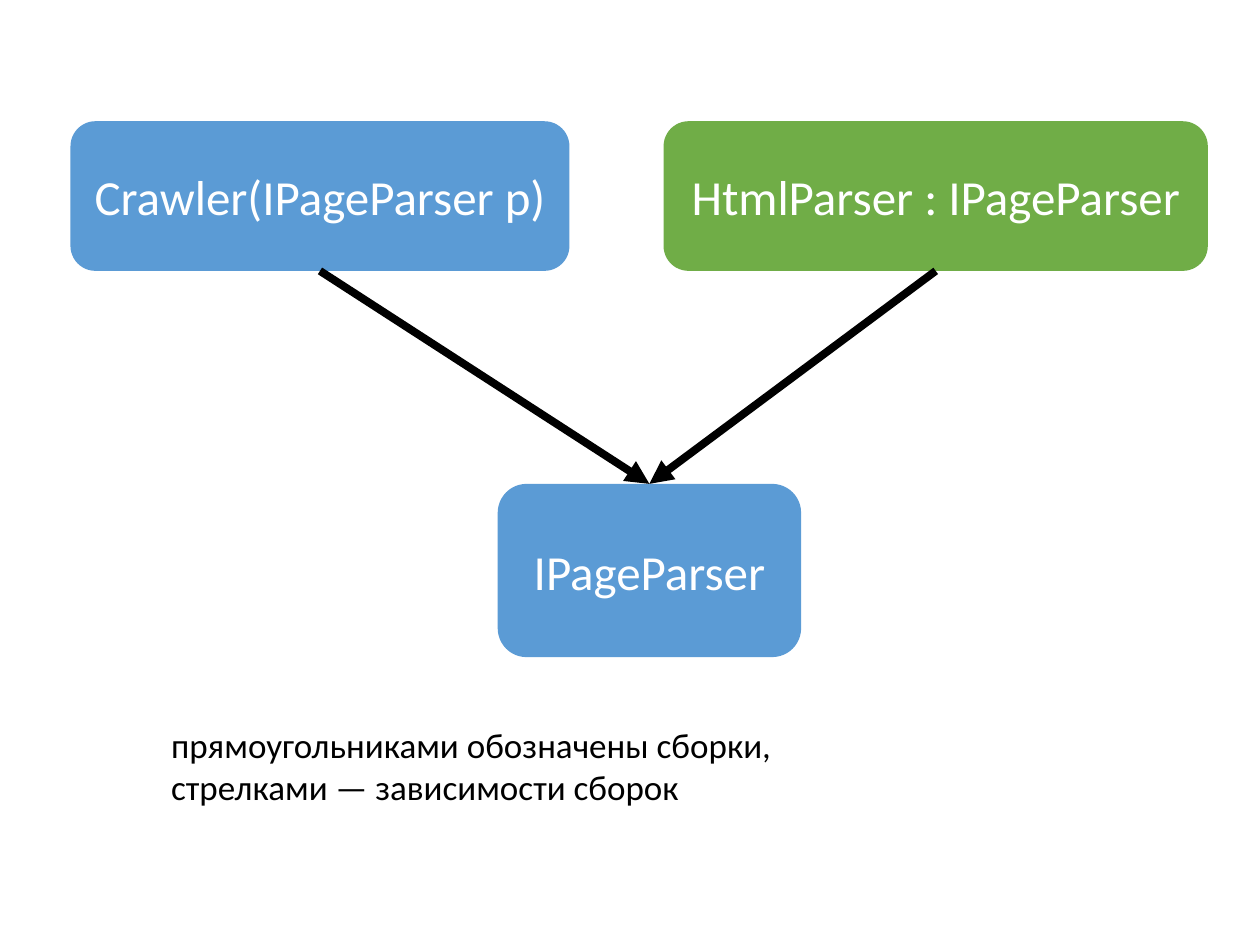
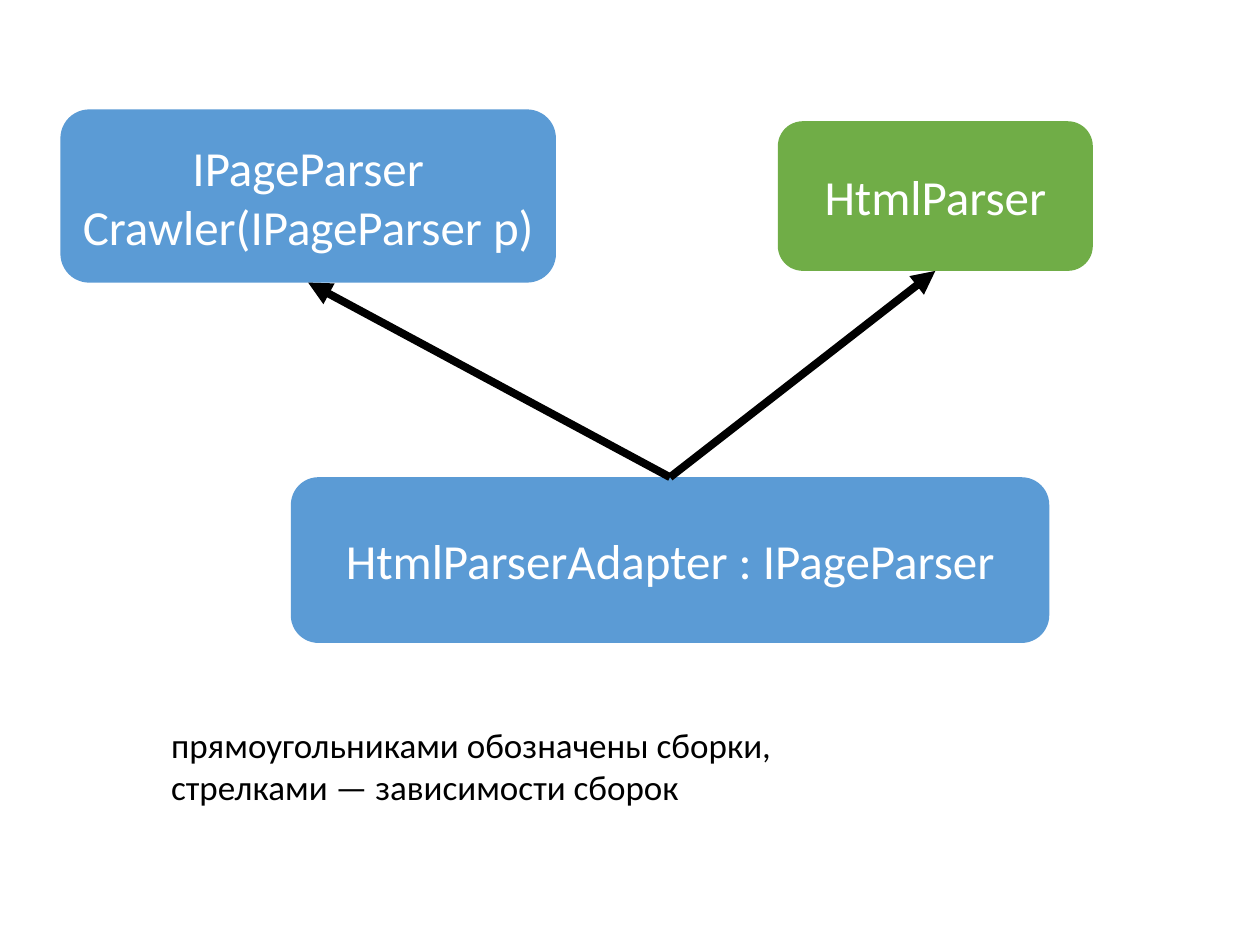
from dataclasses import dataclass
from pptx import Presentation
from pptx.dml.color import RGBColor
from pptx.enum.shapes import MSO_CONNECTOR, MSO_SHAPE
from pptx.enum.text import MSO_ANCHOR, MSO_AUTO_SIZE, PP_ALIGN
from pptx.oxml.ns import qn
from pptx.util import Pt
from lxml.etree import SubElement


@dataclass(frozen=True)
class Theme:
    blue: RGBColor = RGBColor(0x5B, 0x9B, 0xD5)
    green: RGBColor = RGBColor(0x70, 0xAD, 0x47)
    black: RGBColor = RGBColor(0, 0, 0)
    white: RGBColor = RGBColor(255, 255, 255)
    font: str = "Calibri"
    label: int = 28
    note: int = 20
    stroke: float = 4.5


THEME = Theme()
TOP, BOTTOM = 0, 2
NOTE = ("прямоугольниками обозначены сборки, ", "стрелками — зависимости сборок")


def add_run(para, text, size, color):
    run = para.add_run()
    run.text = text
    run.font.name = THEME.font
    run.font.size = Pt(size)
    run.font.color.rgb = color


def add_box(slide, spot, fill, *lines):
    box = slide.shapes.add_shape(MSO_SHAPE.ROUNDED_RECTANGLE, *map(Pt, spot))
    box.shadow.inherit = False
    box.fill.solid()
    box.fill.fore_color.rgb = fill
    box.line.fill.background()
    frame = box.text_frame
    frame.vertical_anchor = MSO_ANCHOR.MIDDLE
    for i, line in enumerate(lines):
        para = frame.add_paragraph() if i else frame.paragraphs[0]
        para.alignment = PP_ALIGN.CENTER
        add_run(para, line, THEME.label, THEME.white)
    return box


def add_arrow(slide, start, out, end, into):
    arrow = slide.shapes.add_connector(MSO_CONNECTOR.STRAIGHT, 0, 0, 0, 0)
    arrow.begin_connect(start, out)
    arrow.end_connect(end, into)
    arrow.line.color.rgb = THEME.black
    arrow.line.width = Pt(THEME.stroke)
    SubElement(arrow.line._get_or_add_ln(), qn("a:tailEnd"), type="triangle")
    SubElement(arrow._element.spPr, qn("a:effectLst"))


def add_note(slide):
    box = slide.shapes.add_textbox(Pt(90.7), Pt(409.7), Pt(364.3), Pt(55.4))
    frame = box.text_frame
    frame.word_wrap = False
    frame.auto_size = MSO_AUTO_SIZE.SHAPE_TO_FIT_TEXT
    para = frame.paragraphs[0]
    for i, line in enumerate(NOTE):
        if i:
            para.add_line_break()
        add_run(para, line, THEME.note, THEME.black)


def add_direct(slide):
    crawler = add_box(slide, (40.3, 69.3, 285.1, 85.5), THEME.blue,
                      "Crawler(IPageParser p)")
    parser = add_box(slide, (379.2, 69.3, 311, 85.5), THEME.green,
                     "HtmlParser : IPageParser")
    base = add_box(slide, (284.4, 276.5, 173.4, 99), THEME.blue, "IPageParser")
    for user in (crawler, parser):
        add_arrow(slide, user, BOTTOM, base, TOP)
    add_note(slide)


def add_adapted(slide):
    crawler = add_box(slide, (34.5, 62.5, 283.2, 99), THEME.blue,
                      "IPageParser", "Crawler(IPageParser p)")
    parser = add_box(slide, (444.5, 69.3, 180, 85.5), THEME.green, "HtmlParser")
    adapter = add_box(slide, (166.2, 272.7, 433.4, 94.7), THEME.blue,
                      "HtmlParserAdapter : IPageParser")
    for target in (crawler, parser):
        add_arrow(slide, adapter, TOP, target, BOTTOM)
    add_note(slide)


def main():
    deck = Presentation()
    deck.slide_width, deck.slide_height = Pt(720), Pt(540)
    for build in (add_direct, add_adapted):
        build(deck.slides.add_slide(deck.slide_layouts[6]))
    deck.save("out.pptx")


if __name__ == "__main__":
    main()
